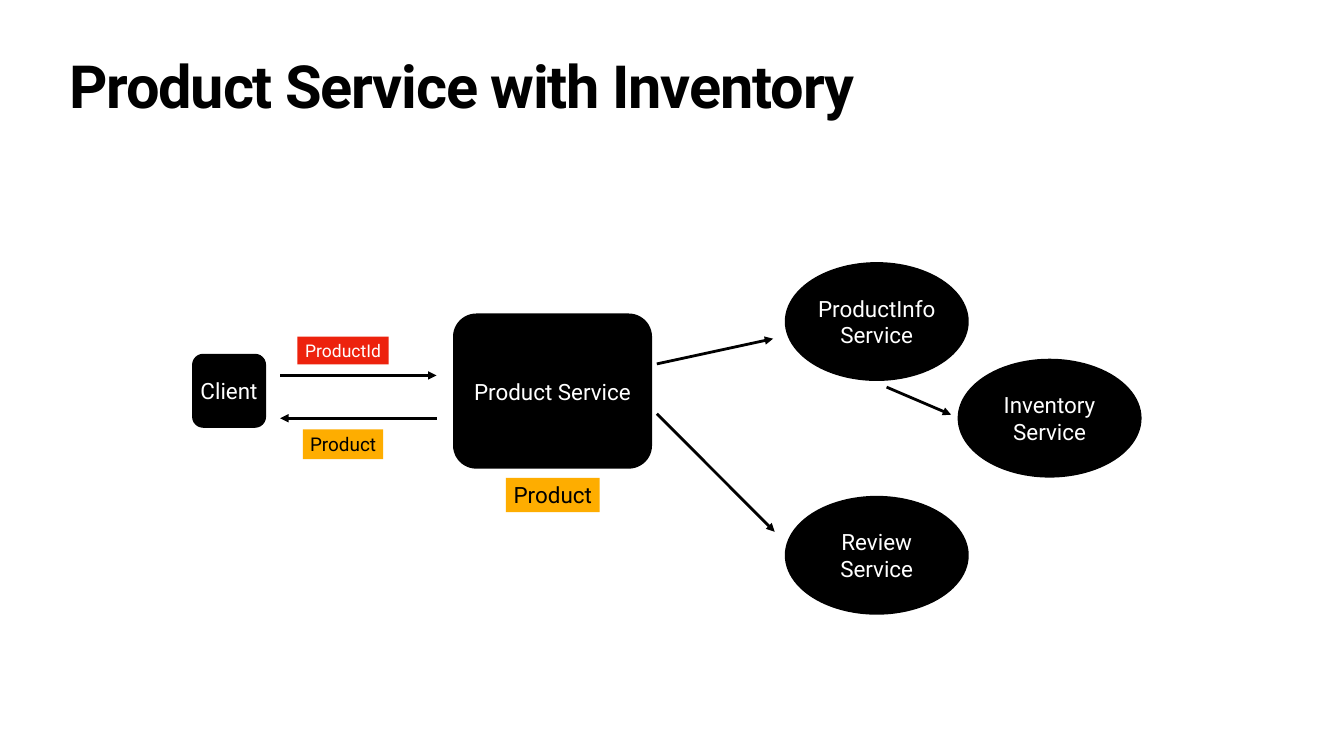
from lxml import etree
from pptx import Presentation, util as u
from pptx.dml.color import RGBColor
from pptx.enum import shapes, text
from pptx.oxml.ns import qn

BLACK, WHITE, RED, AMBER = "000000", "FFFFFF", "ED220D", "FEAD00"
KIND = shapes.MSO_SHAPE


def paint(form, color):
    form.solid()
    form.fore_color.rgb = RGBColor.from_string(color)


def write(frame, words, size=32, color=WHITE, bold=False, font="Roboto",
          align=text.PP_ALIGN.CENTER, anchor=text.MSO_ANCHOR.MIDDLE,
          wrap=True, leading=None, track=None):
    """Fill a text frame, one paragraph per line; track is in points."""
    frame.text = words
    frame.word_wrap = wrap
    frame.auto_size = text.MSO_AUTO_SIZE.NONE
    frame.vertical_anchor = anchor
    frame.margin_left = frame.margin_right = u.Cm(0.15)
    frame.margin_top = frame.margin_bottom = u.Cm(0.15)
    for para in frame.paragraphs:
        para.alignment = align
        if leading:
            para.line_spacing = leading
        for run in para.runs:
            run.font.name, run.font.size = font, u.Pt(size)
            run.font.bold = bold
            paint(run.font.fill, color)
            if track:
                run.font._element.set("spc", str(round(track * 100)))


class Board:
    """Holds the current slide and the style of its diagram."""

    def __init__(self, slide, stroke=4):
        self.slide, self.stroke = slide, stroke

    def title(self, words):
        box = self.slide.shapes.title
        box.left, box.top = u.Cm(3.35), u.Cm(3)
        box.width, box.height = u.Cm(61.04), u.Cm(3.99)
        write(box.text_frame, words, size=85, color=BLACK, bold=True,
              align=text.PP_ALIGN.LEFT, anchor=text.MSO_ANCHOR.TOP,
              leading=0.8, track=-1.7)

    def node(self, kind, words, place, fill=BLACK, **style):
        shape = self.slide.shapes.add_shape(kind, *map(u.Cm, place))
        shape.shadow.inherit = False
        paint(shape.fill, fill)
        shape.line.fill.background()
        write(shape.text_frame, words, **style)
        return shape

    def block(self, words, *place):
        self.node(KIND.ROUNDED_RECTANGLE, words, place).adjustments[0] = 0.15

    def service(self, words, left, top):
        self.node(KIND.OVAL, words, (left, top, 9.27, 5.99))

    def tag(self, words, *place, fill=AMBER, color=BLACK, size=32):
        self.node(KIND.RECTANGLE, words, place, fill, color=color, size=size,
                  wrap=False)

    def arrow(self, *ends):
        wire = self.slide.shapes.add_connector(
            shapes.MSO_CONNECTOR.STRAIGHT, *map(u.Cm, ends))
        wire.line.width = u.Pt(self.stroke)
        paint(wire.line.fill, BLACK)
        etree.SubElement(wire.line._get_or_add_ln(), qn("a:tailEnd"),
                         type="triangle")
        etree.SubElement(wire._element.spPr, qn("a:effectLst"))


def main():
    deck = Presentation()
    deck.slide_width, deck.slide_height = u.Cm(67.73), u.Cm(38.1)
    board = Board(deck.slides.add_slide(deck.slide_layouts[5]))
    board.title("Product Service with Inventory")

    board.block("Product Service", 22.83, 15.8, 10.03, 7.82)
    board.block("Client", 9.68, 17.83, 3.73, 3.73)
    board.service("ProductInfo\nService", 39.55, 13.21)
    board.service("Review\nService", 39.55, 24.99)
    board.service("Inventory\nService", 48.26, 18.08)

    board.arrow(14.12, 18.92, 22, 18.92)
    board.arrow(22, 21.08, 14.12, 21.08)
    board.arrow(33.1, 18.34, 38.96, 17.07)
    board.arrow(33.1, 20.85, 39.04, 26.8)
    board.arrow(44.68, 19.51, 47.93, 20.9)

    board.tag("ProductId", 14.99, 16.97, 4.6, 1.4, fill=RED, color=WHITE,
              size=25)
    board.tag("Product", 15.27, 21.64, 4.04, 1.5, size=27)
    board.tag("Product", 25.5, 24.08, 4.72, 1.73)
    deck.save("out.pptx")


if __name__ == "__main__":
    main()
